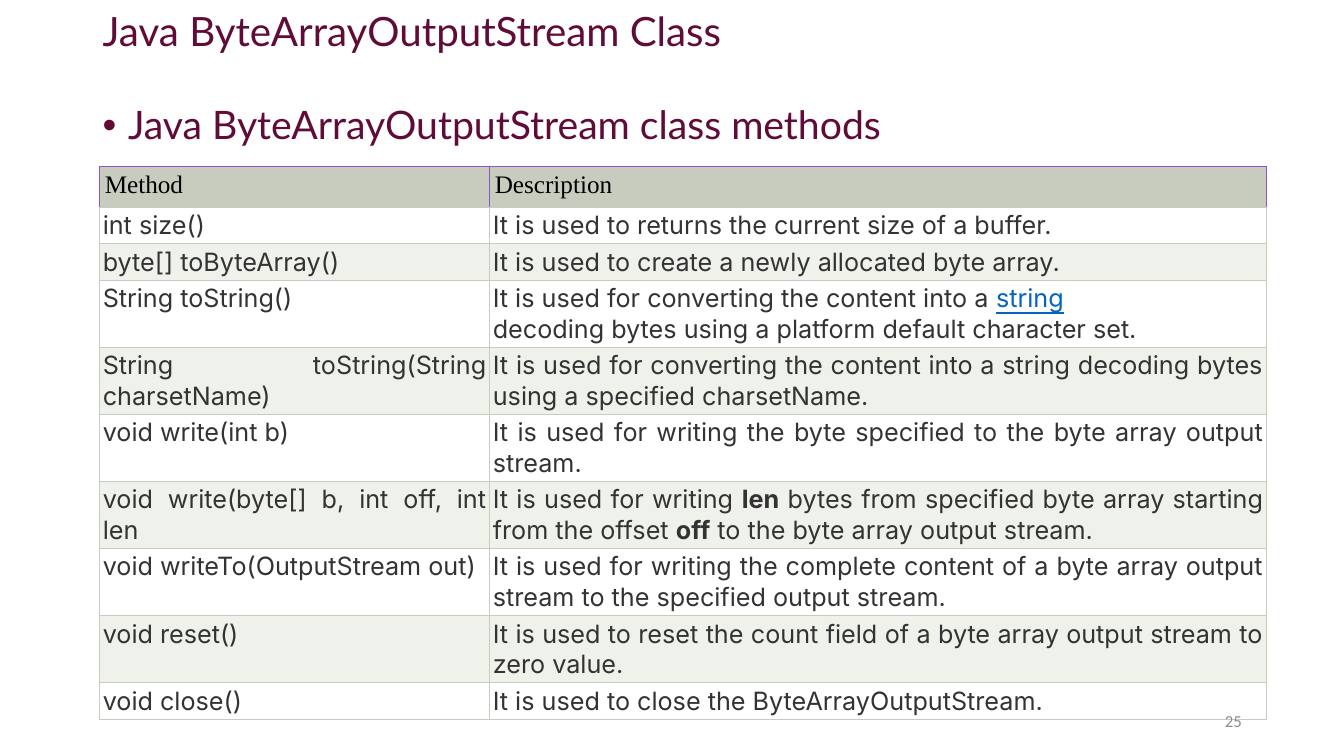
from pptx import Presentation
from pptx import util as u
from pptx.dml.color import RGBColor
from pptx.enum import text
from pptx.oxml import parse_xml
from pptx.oxml.ns import nsdecls

TITLE = "Java ByteArrayOutputStream Class"
SUBTITLE = "Java ByteArrayOutputStream class methods"
PAGE = "25"
HEADER = ("Method", "Description")
# A description is a list of paragraphs; each paragraph is a list of (words, style) runs.
METHODS = [
    ("int size()", [[("It is used to returns the current size of a buffer.", "cell")]]),
    ("byte[] toByteArray()", [[("It is used to create a newly allocated byte array.", "cell")]]),
    ("String toString()", [
        [("It is used for converting the content into a ", "cell"), ("string", "link")],
        [("decoding bytes using a platform default character set.", "cell")]]),
    ("String toString(String charsetName)", [[
        ("It is used for converting the content into a string decoding bytes "
         "using a specified charsetName.", "cell")]]),
    ("void write(int b)", [[
        ("It is used for writing the byte specified to the byte array output stream.", "cell")]]),
    ("void write(byte[] b, int off, int len", [[
        ("It is used for writing ", "cell"), ("len", "strong"),
        (" bytes from specified byte array starting from the offset ", "cell"),
        ("off", "strong"), (" to the byte array output stream.", "cell")]]),
    ("void writeTo(OutputStream out)", [[
        ("It is used for writing the complete content of a byte array output stream "
         "to the specified output stream.", "cell")]]),
    ("void reset()", [[
        ("It is used to reset the count field of a byte array output stream "
         "to zero value.", "cell")]]),
    ("void close()", [[("It is used to close the ByteArrayOutputStream.", "cell")]]),
]
ONE_LINE_ROWS = (0, 1, 8)

CELL = dict(name="Inter", size=18, color="333333")
THEME = {
    "title": dict(name="Lato", size=28.8, color="610B38"),
    "subtitle": dict(name="Lato", size=28, color="610B38"),
    "header": dict(name="Times New Roman", size=18, color="000000"),
    "cell": CELL,
    "strong": {**CELL, "bold": True},
    "link": {**CELL, "color": "0563C1", "underline": True},
    "page": dict(name="Calibri", size=12, color="8C8C8C"),
    "header_fill": "C7CCBE",
    "bands": ("FFFFFF", "EFF1EB"),
    "border": "C7CCBE",
    "header_border": "9055CC",
}
COLUMNS = (9.83, 19.58)
HEADER_HEIGHT, ONE_LINE, TWO_LINES = 0.96, 0.92, 1.69
HEADER_INSET, CELL_INSET = 0.13, 0.08


def write(tf, paragraphs, **formats):
    for i, runs in enumerate(paragraphs):
        p = tf.paragraphs[0] if i == 0 else tf.add_paragraph()
        for key, value in formats.items():
            setattr(p, key, value)
        for words, style in runs:
            r = p.add_run()
            r.text = words
            for key, value in THEME[style].items():
                if key == "color":
                    r.font.color.rgb = RGBColor.from_string(value)
                else:
                    setattr(r.font, key, u.Pt(value) if key == "size" else value)


def add_text(slide, box, words, style, anchor, **formats):
    tf = slide.shapes.add_textbox(*map(u.Cm, box)).text_frame
    tf.word_wrap = True
    tf.vertical_anchor = anchor
    write(tf, [[(words, style)]], **formats)
    return tf.paragraphs[0]


def add_bullet(p, indent):
    pPr = p._p.get_or_add_pPr()
    pPr.set("marL", str(indent))
    pPr.set("indent", str(-indent))
    for tag in ('<a:buFont {} typeface="Arial"/>', '<a:buChar {} char="•"/>'):
        pPr.append(parse_xml(tag.format(nsdecls("a"))))


def fill_cell(cell, paragraphs, fill, inset, borders, **formats):
    """Borders are the colours of the left, right, top and bottom edges."""
    for side in ("left", "right", "top", "bottom"):
        setattr(cell, f"margin_{side}", u.Cm(inset))
    cell.fill.solid()
    cell.fill.fore_color.rgb = RGBColor.from_string(fill)
    tcPr = cell._tc.get_or_add_tcPr()
    for i, (side, color) in enumerate(zip("LRTB", borders)):
        tcPr.insert(i, parse_xml(
            f'<a:ln{side} {nsdecls("a")} w="{u.Pt(0.6)}"><a:solidFill>'
            f'<a:srgbClr val="{color}"/></a:solidFill></a:ln{side}>'))
    write(cell.text_frame, paragraphs, **formats)


def add_methods_table(slide, left, top):
    heights = [HEADER_HEIGHT] + [ONE_LINE if i in ONE_LINE_ROWS else TWO_LINES
                                 for i in range(len(METHODS))]
    size = (sum(COLUMNS), sum(heights))
    table = slide.shapes.add_table(len(heights), len(COLUMNS),
                                   *map(u.Cm, (left, top, *size))).table
    table.first_row = table.horz_banding = False
    for column, width in zip(table.columns, COLUMNS):
        column.width = u.Cm(width)
    for row, height in zip(table.rows, heights):
        row.height = u.Cm(height)

    edge = THEME["border"]
    header_edges = [THEME["header_border"]] * 3 + [edge]
    for col, words in enumerate(HEADER):
        fill_cell(table.cell(0, col), [[(words, "header")]], THEME["header_fill"],
                  HEADER_INSET, header_edges)
    for i, (method, description) in enumerate(METHODS):
        for col, paragraphs in enumerate(([[(method, "cell")]], description)):
            fill_cell(table.cell(i + 1, col), paragraphs, THEME["bands"][i % 2],
                      CELL_INSET, [edge] * 4, alignment=text.PP_ALIGN.JUSTIFY)


def main():
    prs = Presentation()
    prs.slide_width, prs.slide_height = u.Cm(33.87), u.Cm(19.05)
    slide = prs.slides.add_slide(prs.slide_layouts[6])
    middle, top = text.MSO_ANCHOR.MIDDLE, text.MSO_ANCHOR.TOP
    p = add_text(slide, (2.34, 2.54, 29.21, 14.63), SUBTITLE, "subtitle", top,
                 line_spacing=0.9)
    add_bullet(p, u.Cm(0.64))
    add_text(slide, (2.34, 0.25, 29.21, 1.17), TITLE, "title", middle, line_spacing=0.9)
    add_methods_table(slide, 2.51, 4.19)
    add_text(slide, (23.93, 17.65, 7.62, 1.02), PAGE, "page", middle,
             alignment=text.PP_ALIGN.RIGHT)
    prs.save("out.pptx")


if __name__ == "__main__":
    main()
